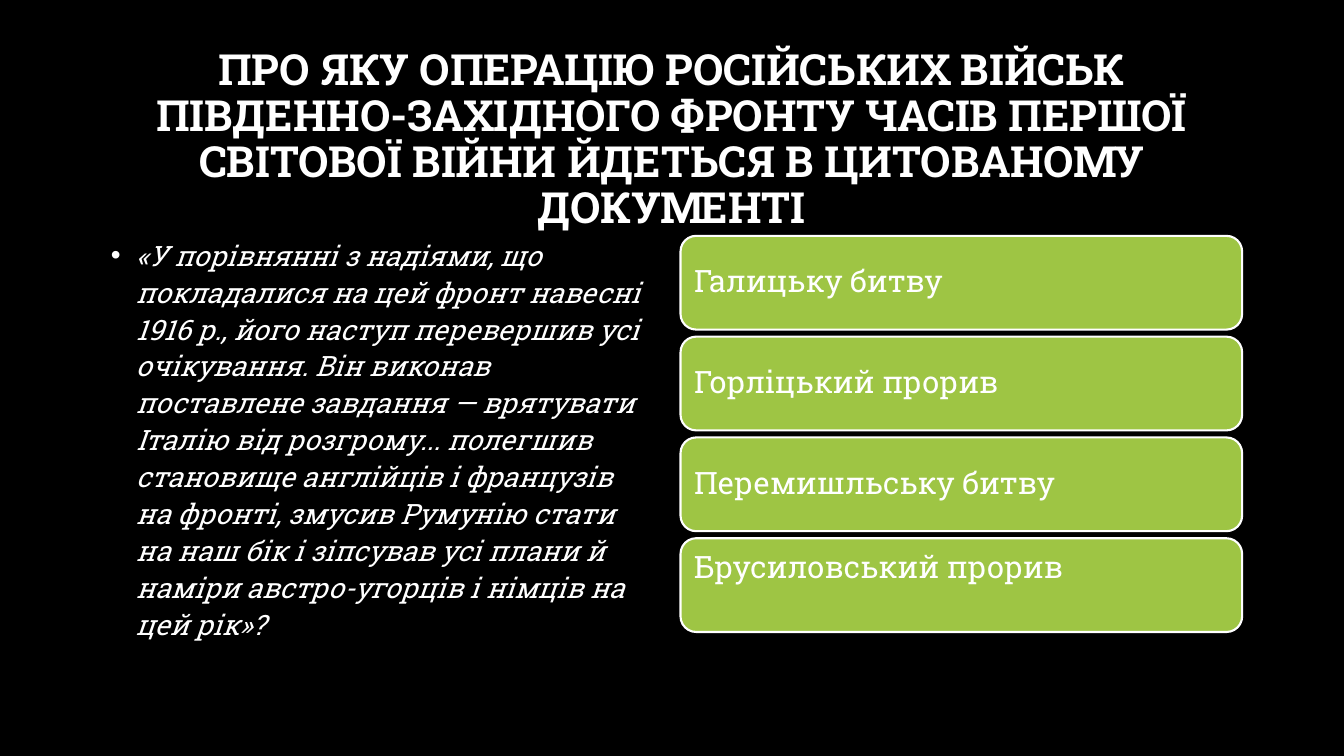
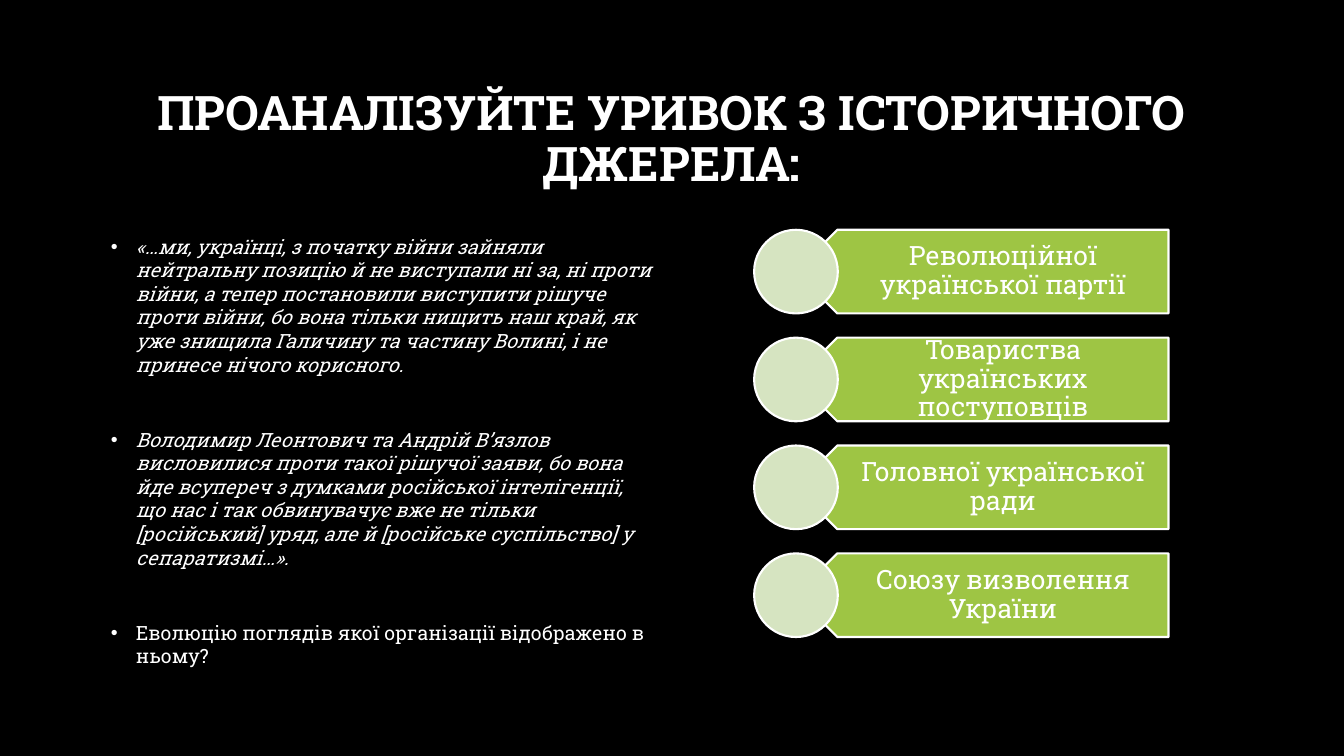
"""Builds two quiz slides on the history of the First World War."""
from lxml import etree
from pptx import Presentation
from pptx import util as u
from pptx.dml.color import RGBColor
from pptx.enum import shapes, text
from pptx.oxml.ns import qn

COLORS = {"background": "000000", "text": "FFFFFF", "answer": "9EC544", "marker": "D6E4C1"}
FONT = "Roboto Slab"
SHAPE = shapes.MSO_SHAPE
ALIGN = text.PP_ALIGN
ANCHOR = text.MSO_ANCHOR


class Deck:
    def __init__(self):
        self.presentation = Presentation()
        self.presentation.slide_width = u.Inches(13.33)
        self.presentation.slide_height = u.Inches(7.5)
        self.slide = None

    def color(self, name):
        return RGBColor.from_string(COLORS[name])

    def style(self, paragraph, size, bold=False, italic=False):
        font = paragraph.font
        font.name, font.size = FONT, u.Pt(size)
        font.bold, font.italic = bold, italic
        font.color.rgb = self.color("text")

    def add_slide(self, title, size):
        self.slide = self.presentation.slides.add_slide(self.presentation.slide_layouts[6])
        fill = self.slide.background.fill
        fill.solid()
        fill.fore_color.rgb = self.color("background")
        frame = self.text_box(1, 0.67, 11.32, 1.45)
        frame.vertical_anchor = ANCHOR.MIDDLE
        paragraph = frame.paragraphs[0]
        paragraph.text = title
        paragraph.alignment = ALIGN.CENTER
        paragraph.line_spacing = 0.9
        self.style(paragraph, size, bold=True)

    def text_box(self, left, top, width, height):
        box = self.slide.shapes.add_textbox(*map(u.Inches, (left, top, width, height)))
        box.text_frame.word_wrap = True
        return box.text_frame

    def bullets(self, items, size, line_spacing=1.0, gap=0):
        frame = self.text_box(1, 2.28, 5.58, 4.05)
        for index, (content, italic) in enumerate(items):
            paragraph = frame.add_paragraph() if index else frame.paragraphs[0]
            paragraph.text = content
            paragraph.line_spacing = line_spacing
            paragraph.space_before = u.Pt(gap if index else 0)
            properties = paragraph._p.get_or_add_pPr()
            properties.set("marL", str(u.Inches(0.25)))
            properties.set("indent", str(-u.Inches(0.25)))
            etree.SubElement(properties, qn("a:buFont"), typeface="Arial")
            etree.SubElement(properties, qn("a:buChar"), char="•")
            self.style(paragraph, size, italic=italic)

    def shape(self, kind, left, top, width, height, fill):
        shape = self.slide.shapes.add_shape(kind, *map(u.Inches, (left, top, width, height)))
        shape.shadow.inherit = False
        shape.fill.solid()
        shape.fill.fore_color.rgb = self.color(fill)
        shape.line.color.rgb = self.color("text")
        shape.line.width = u.Pt(1.5)
        return shape

    def label(self, shape, content, size, align, margins, anchor=ANCHOR.MIDDLE):
        frame = shape.text_frame
        frame.word_wrap = True
        frame.vertical_anchor = anchor
        (frame.margin_left, frame.margin_top,
         frame.margin_right, frame.margin_bottom) = map(u.Inches, margins)
        paragraph = frame.paragraphs[0]
        paragraph.text = content
        paragraph.alignment = align
        paragraph.line_spacing = 0.9
        self.style(paragraph, size)

    def rounded_answer(self, top, content, anchor):
        shape = self.shape(SHAPE.ROUNDED_RECTANGLE, 6.75, top, 5.57, 0.93, "answer")
        self.label(shape, content, 22, ALIGN.LEFT, (0.09,) * 4, anchor)

    def arrow_answer(self, top, content):
        arrow = self.shape(SHAPE.PENTAGON, 7.89, top, 3.7, 0.83, "answer")
        arrow._element.spPr.xfrm.set("flipH", "1")
        self.label(arrow, content, 19, ALIGN.CENTER, (0.36, 0.08, 0.15, 0.08))
        self.shape(SHAPE.OVAL, 7.48, top, 0.83, 0.83, "marker")


def main():
    deck = Deck()

    deck.add_slide("ПРО ЯКУ ОПЕРАЦІЮ РОСІЙСЬКИХ ВІЙСЬК ПІВДЕННО-ЗАХІДНОГО ФРОНТУ ЧАСІВ "
                   "ПЕРШОЇ СВІТОВОЇ ВІЙНИ ЙДЕТЬСЯ В ЦИТОВАНОМУ ДОКУМЕНТІ", 30.6)
    deck.bullets([
        ("«У порівнянні з надіями, що покладалися на цей фронт навесні 1916 р., його наступ "
         "перевершив усі очікування. Він виконав поставлене завдання — врятувати Італію від "
         "розгрому... полегшив становище англійців і французів на фронті, змусив Румунію стати "
         "на наш бік і зіпсував усі плани й наміри австро-угорців і німців на цей рік»?", True),
    ], 20, line_spacing=1.1)
    battles = [
        ("Галицьку битву", ANCHOR.MIDDLE),
        ("Горліцький прорив", ANCHOR.MIDDLE),
        ("Перемишльську битву", ANCHOR.MIDDLE),
        ("Брусиловський прорив", ANCHOR.TOP),
    ]
    for row, (battle, anchor) in enumerate(battles):
        deck.rounded_answer(2.34 + row, battle, anchor)

    deck.add_slide("ПРОАНАЛІЗУЙТЕ УРИВОК З ІСТОРИЧНОГО ДЖЕРЕЛА:", 34)
    deck.bullets([
        ("«…ми, українці, з початку війни зайняли нейтральну позицію й не виступали ні за, ні "
         "проти війни, а тепер постановили виступити рішуче проти війни, бо вона тільки нищить "
         "наш край, як уже знищила Галичину та частину Волині, і не принесе нічого корисного.",
         True),
        ("Володимир Леонтович та Андрій В’язлов висловилися проти такої рішучої заяви, бо вона "
         "йде всупереч з думками російської інтелігенції, що нас і так обвинувачує вже не тільки "
         "[російський] уряд, але й [російське суспільство] у сепаратизмі…».", True),
        ("Еволюцію поглядів якої організації відображено в ньому?", False),
    ], 14, gap=37)
    organizations = [
        "Революційної української партії",
        "Товариства українських поступовців",
        "Головної української ради",
        "Союзу визволення України",
    ]
    for row, organization in enumerate(organizations):
        deck.arrow_answer(2.28 + 1.07 * row, organization)

    deck.presentation.save("out.pptx")


if __name__ == "__main__":
    main()
